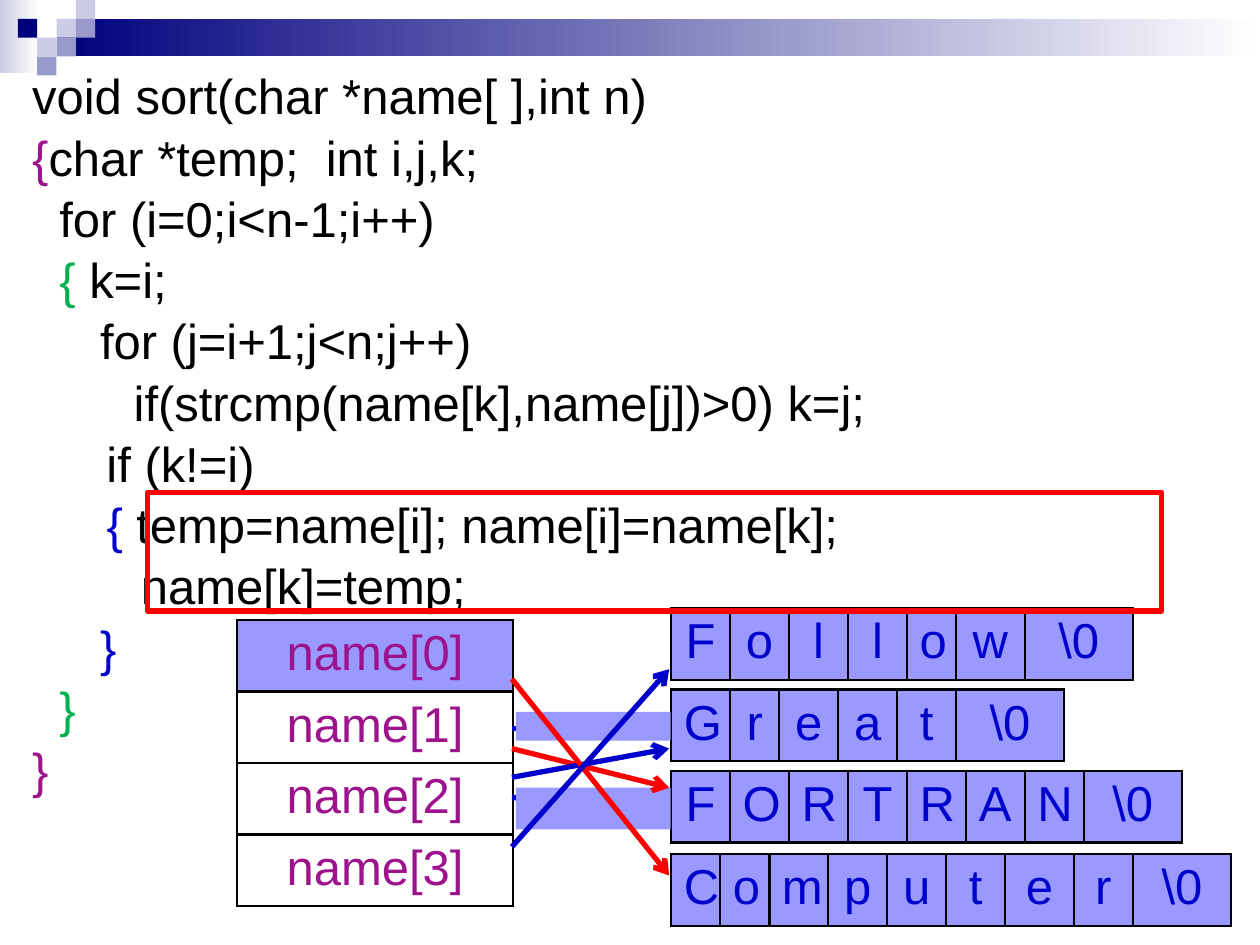
from lxml.etree import SubElement
from pptx import Presentation
from pptx.dml.color import RGBColor
from pptx.enum.shapes import MSO_CONNECTOR, MSO_SHAPE
from pptx.enum.text import PP_ALIGN
from pptx.oxml.ns import qn
from pptx.util import Cm, Pt

HUES = {"black": "000000", "white": "FFFFFF", "navy": "00007D", "pale": "CCCCE6",
        "mid": "9999CC", "lilac": "9999FF", "blue": "0000CC", "red": "FF0000",
        "green": "00B050", "plum": "9D138D"}

# Each line of code is a list of (text, colour) runs.
CODE = [
    [("void sort(char *name[ ],int n)", "black")],
    [("{", "plum"), ("char *temp;  int i,j,k;", "black")],
    [("  for (i=0;i<n-1;i++)", "black")],
    [("  ", "black"), ("{", "green"), (" k=i;", "black")],
    [("     for (j=i+1;j<n;j++)", "black")],
    [("\t    if(strcmp(name[k],name[j])>0) k=j;", "black")],
    [("\t  if (k!=i)", "black")],
    [("\t  ", "black"), ("{", "blue"), (" temp=name[i]; name[i]=name[k];", "black")],
    [("        name[k]=temp;", "black")],
    [("     ", "black"), ("}", "blue")],
    [("  }", "green")],
    [("}", "plum")],
]

# Word, top, and column widths in steps; the last column holds the end mark.
STEP = 0.198
WORDS = [
    ("Follow", 12.26, [6, 6, 6, 6, 5, 7, 11]),
    ("Great", 13.9, [6, 5, 6, 6, 6, 11]),
    ("FORTRAN", 15.54, [6, 6, 6, 6, 6, 6, 6, 10]),
    ("Computer", 17.22, [5, 5, 6, 6, 6, 6, 7, 6, 10]),
]
NAMES = [f"name[{i}]" for i in range(4)]
ROW = 1.44

# Column, row and colour of the small corner squares.
TILES = [(2, 1, "pale"), (3, 0, "pale"), (3, 1, "mid"), (1, 2, "pale"),
         (0, 1, "navy"), (2, 2, "mid"), (1, 3, "mid")]

# Start and end heights of the arrows; the old ones lie under the masks.
OLD = [(14.68, 14.68, "blue"), (16.08, 16.28, "blue")]
NEW = [(15.09, 15.88, "red"), (15.67, 15.09, "blue"),
       (13.69, 17.65, "red"), (17.07, 13.49, "blue")]
MASKS = [(15.88, 0.84), (14.35, 0.58)]


def rgb(name):
    return RGBColor.from_string(HUES[name])


def add_box(slide, x, y, w, h, fill=None, fade=False, edge=None):
    box = slide.shapes.add_shape(MSO_SHAPE.RECTANGLE, Cm(x), Cm(y), Cm(w), Cm(h))
    box.shadow.inherit = False
    if fade:
        box.fill.gradient()
        box.fill.gradient_angle = 0
        for stop, hue in zip(box.fill.gradient_stops, (fill, "white")):
            stop.color.rgb = rgb(hue)
    elif fill:
        box.fill.solid()
        box.fill.fore_color.rgb = rgb(fill)
    else:
        box.fill.background()
    if edge:
        box.line.color.rgb = rgb(edge)
        box.line.width = Pt(3)
    else:
        box.line.fill.background()


def add_arrow(slide, start, end, hue):
    line = slide.shapes.add_connector(
        MSO_CONNECTOR.STRAIGHT, Cm(10.32), Cm(start), Cm(13.49), Cm(end))
    line.line.color.rgb = rgb(hue)
    line.line.width = Pt(3)
    props = line._element.spPr
    SubElement(props.find(qn("a:ln")), qn("a:tailEnd"), type="arrow")
    SubElement(props, qn("a:effectLst"))


def style_cell(cell, text, hue, fill):
    props = cell._tc.get_or_add_tcPr()
    for side in ("lnL", "lnR", "lnT", "lnB"):
        edge = SubElement(props, qn(f"a:{side}"), w=str(Pt(1.47)))
        paint = SubElement(edge, qn("a:solidFill"))
        SubElement(paint, qn("a:srgbClr"), val=HUES["black"])
    cell.fill.solid()
    cell.fill.fore_color.rgb = rgb(fill)
    cell.text = text
    para = cell.text_frame.paragraphs[0]
    para.alignment = PP_ALIGN.CENTER
    para.font.size = Pt(28)
    para.font.name = "Arial"
    para.font.color.rgb = rgb(hue)


def add_grid(slide, x, y, widths, rows, hue, fills):
    """Add a table with one fill colour for each row."""
    table = slide.shapes.add_table(len(rows), len(widths), Cm(x), Cm(y),
                                   Cm(sum(widths)), Cm(ROW * len(rows))).table
    table.first_row = table.horz_banding = False
    for col, width in zip(table.columns, widths):
        col.width = Cm(width)
    for r, (texts, fill) in enumerate(zip(rows, fills)):
        table.rows[r].height = Cm(ROW)
        for c, text in enumerate(texts):
            style_cell(table.cell(r, c), text, hue, fill)


def add_code(slide):
    frame = slide.shapes.add_textbox(Cm(0.4), Cm(1.4), Cm(24.4), Cm(14.88)).text_frame
    frame.word_wrap = True
    for i, runs in enumerate(CODE):
        para = frame.add_paragraph() if i else frame.paragraphs[0]
        props = para._p.get_or_add_pPr()
        props.set("marL", str(Cm(0.95)))
        props.set("indent", str(-Cm(0.95)))
        tabs = SubElement(props, qn("a:tabLst"))
        for n in range(8):
            SubElement(tabs, qn("a:tab"), pos=str(Cm(2.54 * n)), algn="l")
        para.line_spacing = Pt(28)
        para.space_before = Pt(7 if i else 0)
        para.font.size = Pt(28)
        para.font.name = "Arial"
        for text, hue in runs:
            run = para.add_run()
            run.text = text
            run.font.color.rgb = rgb(hue)


def main():
    deck = Presentation()
    deck.slide_width, deck.slide_height = Cm(25.4), Cm(19.05)
    slide = deck.slides.add_slide(deck.slide_layouts[6])

    add_box(slide, 0, 0, 0.79, 1.47, "pale", fade=True)
    add_box(slide, 1.14, 0.38, 24.26, 0.76, "navy", fade=True)
    for col, row, hue in TILES:
        add_box(slide, 0.36 + 0.39 * col, 0.38 * row, 0.39, 0.38, hue)

    add_code(slide)
    for word, top, steps in WORDS:
        add_grid(slide, 13.53, top, [STEP * n for n in steps],
                 [[*word, "\\0"]], "blue", ["lilac"])
    add_grid(slide, 4.78, 12.5, [5.56], [[name] for name in NAMES],
             "plum", ["lilac", "white", "white", "white"])

    for arrow in OLD:
        add_arrow(slide, *arrow)
    add_box(slide, 2.97, 9.93, 20.45, 2.39, edge="red")
    for top, height in MASKS:
        add_box(slide, 10.4, top, 3.12, height, "lilac")
    for arrow in NEW:
        add_arrow(slide, *arrow)

    deck.save("out.pptx")


if __name__ == "__main__":
    main()
